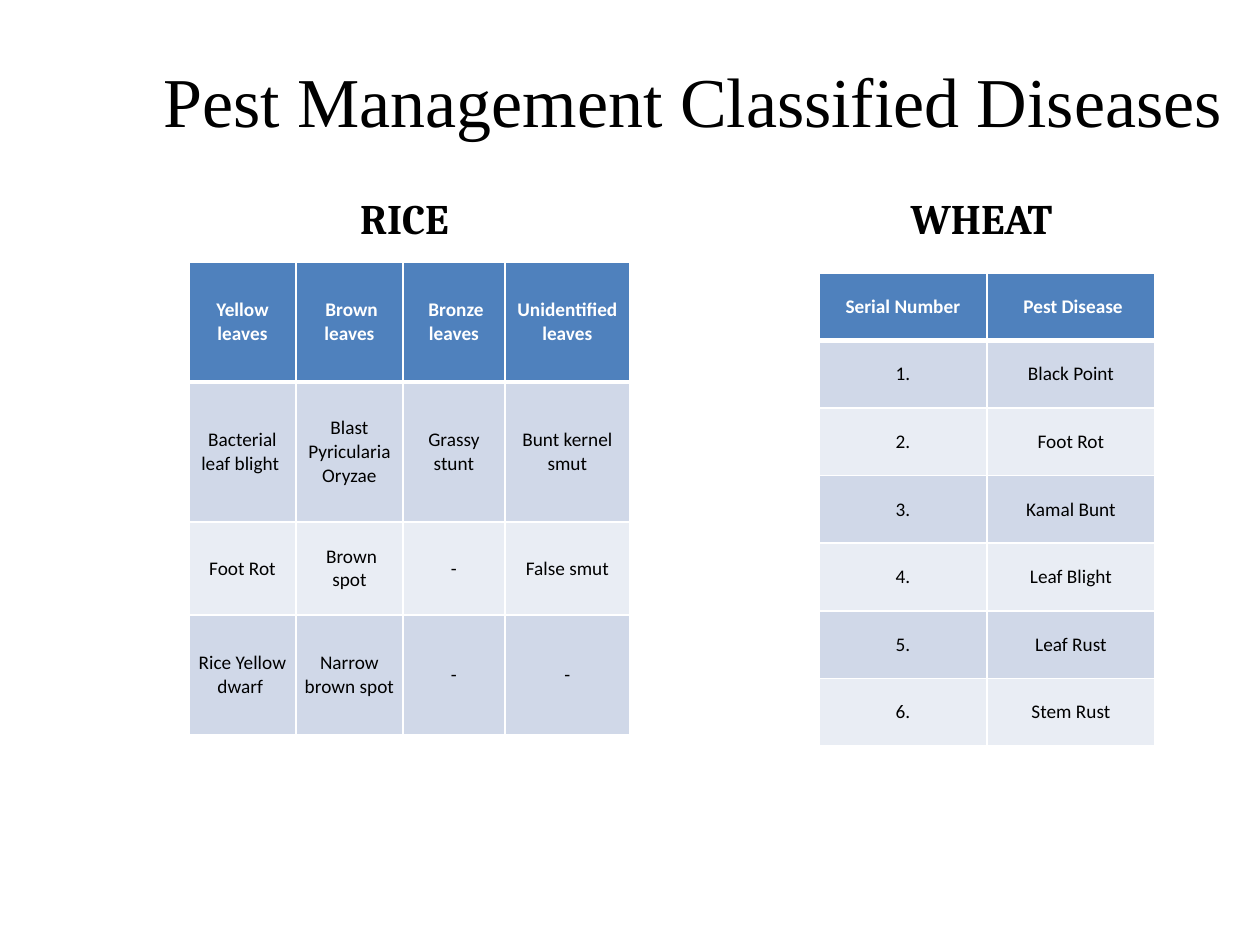
"""Build the slide of classified pest diseases for rice and wheat."""
from dataclasses import dataclass

from lxml.etree import SubElement
from pptx import Presentation
from pptx.dml.color import RGBColor
from pptx.enum.text import MSO_ANCHOR, MSO_AUTO_SIZE, PP_ALIGN
from pptx.oxml.ns import qn
from pptx.slide import Slide
from pptx.table import _Cell
from pptx.text.text import TextFrame
from pptx.util import Emu, Pt

EMU_PER_PX = 914400 / 126


@dataclass(frozen=True)
class Theme:
    ink: str = "000000"
    paper: str = "FFFFFF"
    header: str = "4F81BD"
    bands: tuple[str, str] = ("D0D8E8", "E9EDF4")
    title_font: str = "Times New Roman"
    crop_font: str = "Cambria"
    table_font: str = "Calibri"
    title_size: int = 40
    crop_size: int = 24
    table_size: int = 11
    rule: int = 1
    header_rule: int = 3


@dataclass(frozen=True)
class Box:
    left: int
    top: int
    width: int
    height: int

    def emu(self) -> tuple[Emu, ...]:
        return tuple(px(side) for side in (self.left, self.top, self.width, self.height))


@dataclass(frozen=True)
class Crop:
    name: str
    name_box: Box
    table_box: Box
    column_widths: tuple[int, ...]
    row_weights: tuple[int, ...]
    rows: tuple[tuple[str, ...], ...]


THEME = Theme()
WHEAT_DISEASES = ("Black Point", "Foot Rot", "Kamal Bunt", "Leaf Blight", "Leaf Rust", "Stem Rust")
CROPS = (
    Crop(
        "RICE", Box(126, 168, 557, 88), Box(189, 262, 441, 473),
        (107, 107, 102, 125), (120, 140, 93, 120),
        (
            ("Yellow leaves", " Brown leaves", " Bronze leaves", "Unidentified leaves"),
            ("Bacterial leaf blight ", "Blast Pyricularia Oryzae", "Grassy stunt", "Bunt kernel smut"),
            ("Foot Rot", " Brown spot", "-", "False smut"),
            ("Rice Yellow dwarf ", "Narrow brown spot", "-", "-"),
        ),
    ),
    Crop(
        "WHEAT", Box(703, 168, 557, 88), Box(819, 273, 336, 473),
        (168, 168), (1,) * 7,
        (
            ("Serial Number", " Pest Disease"),
            *((f"{number}.", disease) for number, disease in enumerate(WHEAT_DISEASES, 1)),
        ),
    ),
)


def px(length: float) -> Emu:
    return Emu(round(length * EMU_PER_PX))


def write(frame: TextFrame, text: str, *, font: str, size: int, color: str = THEME.ink,
          bold: bool = False, space_before: float = 0) -> None:
    paragraph = frame.paragraphs[0]
    paragraph.alignment = PP_ALIGN.CENTER
    paragraph.space_before = Pt(space_before)
    run = paragraph.add_run()
    run.text = text
    run.font.name = font
    run.font.size = Pt(size)
    run.font.bold = bold
    run.font.color.rgb = RGBColor.from_string(color)


def set_frame(frame: TextFrame, anchor: MSO_ANCHOR, inset: int = 13) -> None:
    frame.word_wrap = True
    frame.auto_size = MSO_AUTO_SIZE.NONE
    frame.vertical_anchor = anchor
    frame.margin_left = frame.margin_right = px(inset)
    frame.margin_top = frame.margin_bottom = px(inset)


def set_borders(cell: _Cell, top: int, bottom: int) -> None:
    properties = cell._tc.get_or_add_tcPr()
    widths = {"L": THEME.rule, "R": THEME.rule, "T": top, "B": bottom}
    for position, (side, width) in enumerate(widths.items()):
        border = SubElement(properties, qn(f"a:ln{side}"), w=str(Pt(width)))
        fill = SubElement(border, qn("a:solidFill"))
        SubElement(fill, qn("a:srgbClr"), val=THEME.paper)
        properties.insert(position, border)


def draw_cell(cell: _Cell, text: str, row: int) -> None:
    is_header = row == 0
    cell.vertical_anchor = MSO_ANCHOR.MIDDLE
    cell.margin_left = cell.margin_right = cell.margin_top = cell.margin_bottom = px(8)
    cell.fill.solid()
    cell.fill.fore_color.rgb = RGBColor.from_string(
        THEME.header if is_header else THEME.bands[(row - 1) % 2])
    set_borders(cell, top=THEME.header_rule if row == 1 else THEME.rule,
                bottom=THEME.header_rule if is_header else THEME.rule)
    write(cell.text_frame, text, font=THEME.table_font, size=THEME.table_size,
          color=THEME.paper if is_header else THEME.ink, bold=is_header)


def draw_crop(slide: Slide, crop: Crop) -> None:
    heading = slide.shapes.add_textbox(*crop.name_box.emu()).text_frame
    set_frame(heading, MSO_ANCHOR.BOTTOM)
    write(heading, crop.name, font=THEME.crop_font, size=THEME.crop_size, bold=True, space_before=4.8)

    diseases = slide.shapes.add_table(
        len(crop.rows), len(crop.column_widths), *crop.table_box.emu()).table
    for column, width in zip(diseases.columns, crop.column_widths):
        column.width = px(width)
    for row, weight in zip(diseases.rows, crop.row_weights):
        row.height = px(crop.table_box.height * weight / sum(crop.row_weights))
    for row_index, texts in enumerate(crop.rows):
        for column_index, text in enumerate(texts):
            draw_cell(diseases.cell(row_index, column_index), text, row_index)


def draw_title(slide: Slide, text: str, box: Box) -> None:
    title = slide.shapes.title
    title.left, title.top, title.width, title.height = box.emu()
    set_frame(title.text_frame, MSO_ANCHOR.MIDDLE)
    write(title.text_frame, text, font=THEME.title_font, size=THEME.title_size)


def main() -> None:
    presentation = Presentation()
    presentation.slide_width, presentation.slide_height = px(1260), px(945)
    slide = presentation.slides.add_slide(presentation.slide_layouts.get_by_name("Title Only"))
    draw_title(slide, "Pest Management Classified Diseases", Box(126, 21, 1134, 158))
    for crop in CROPS:
        draw_crop(slide, crop)
    presentation.save("out.pptx")


if __name__ == "__main__":
    main()
